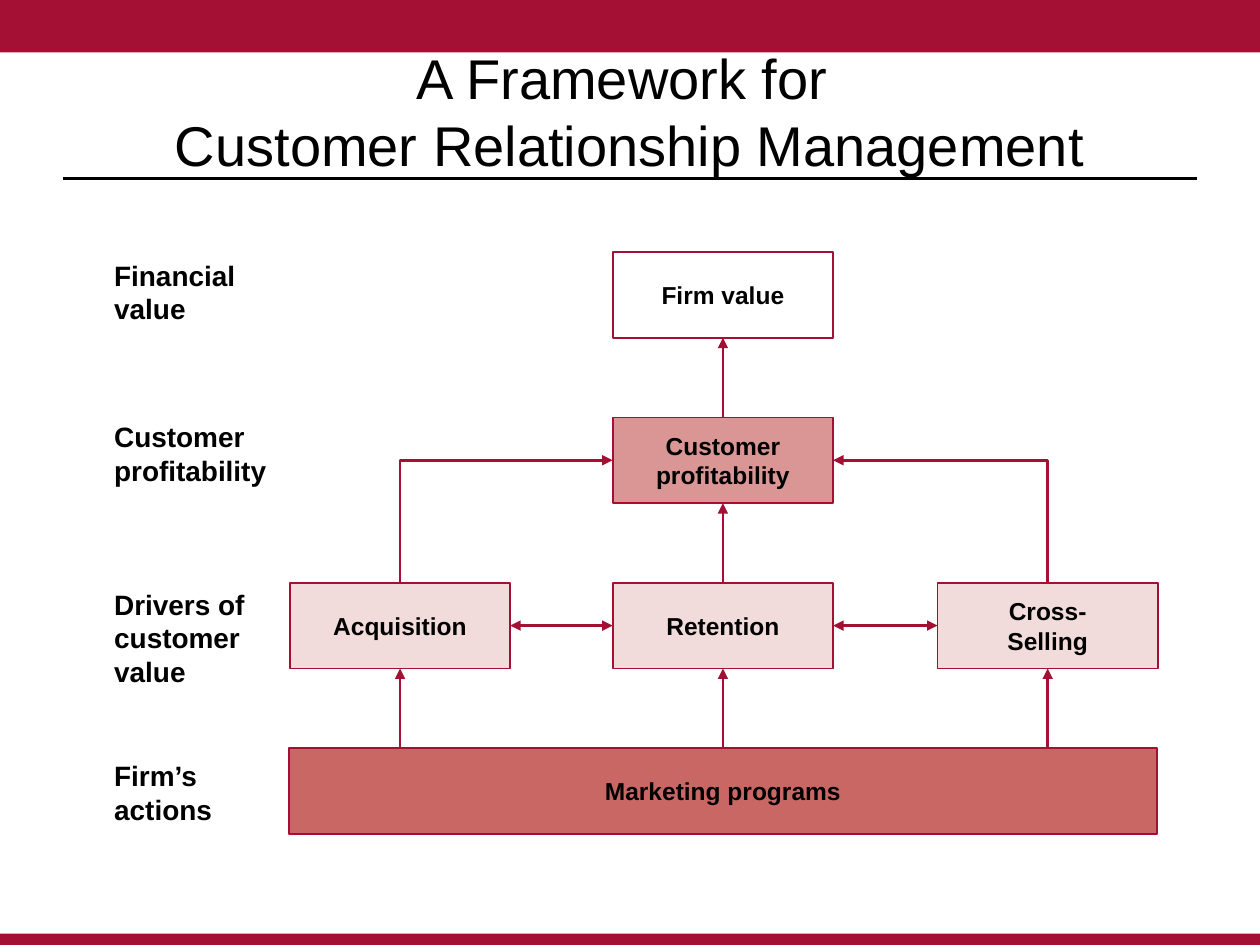
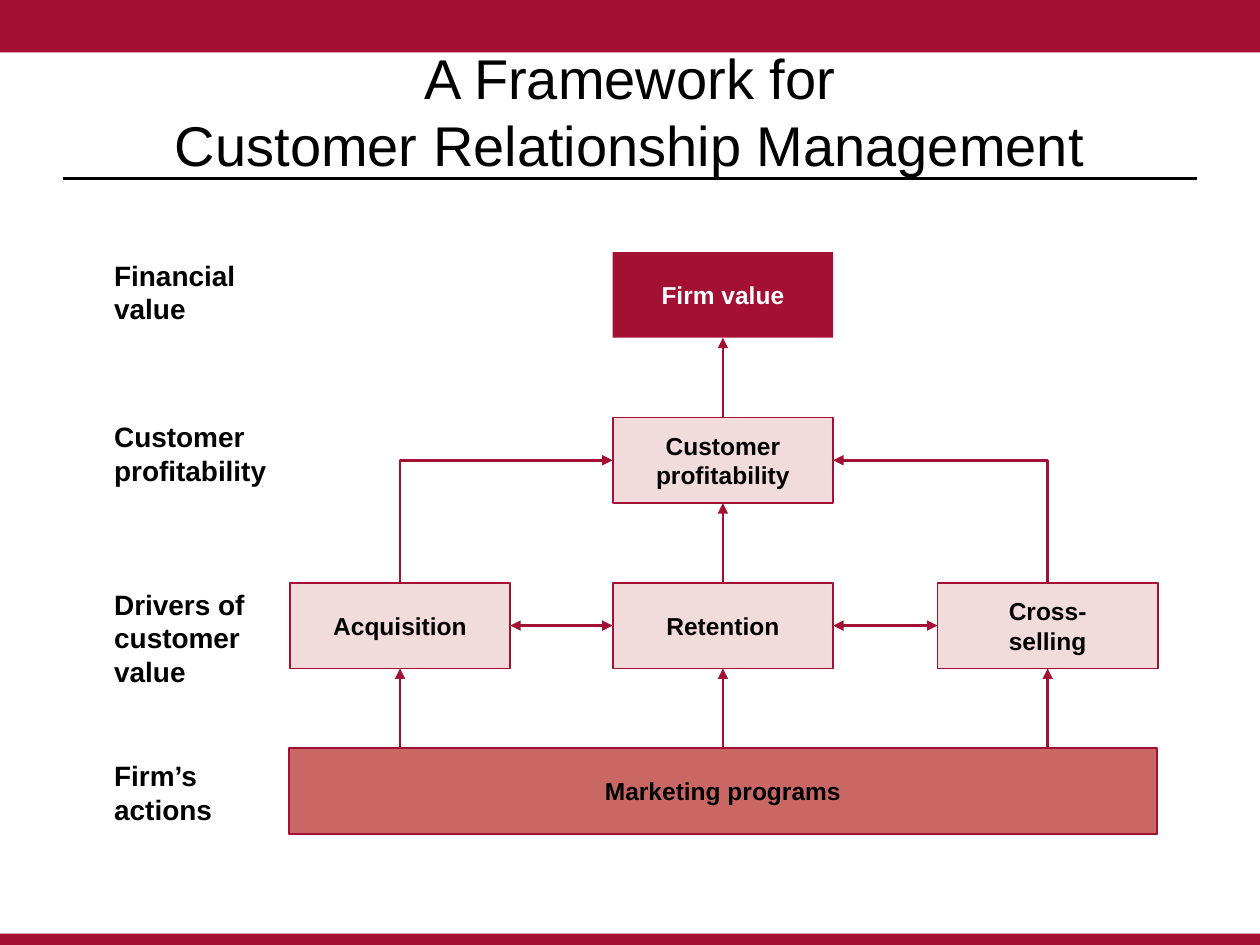
from lxml import etree
from pptx import Presentation
from pptx.dml.color import RGBColor
from pptx.enum import shapes, text
from pptx.oxml.ns import qn
from pptx.util import Pt

rgb = RGBColor.from_string
CRIMSON, ROSE, BLUSH, BRICK = "A41034", "D99694", "F2DCDB", "C96765"
BLACK, WHITE = "000000", "FFFFFF"
FONT = "Arial"

BOX_W, BOX_H = 126, 49
LEFT_X, MIDDLE_X, RIGHT_X = 165.6, 350.1, 535.7
VALUE_Y, PROFIT_Y, DRIVER_Y, ACTION_Y = [144 + 94.5 * row for row in range(4)]
TOP, LEFT, BOTTOM, RIGHT = 0, 1, 2, 3

LABELS = [
    ("Financial\nvalue", 144),
    ("Customer\nprofitability", 236.2),
    ("Drivers of\ncustomer value", 332),
    ("Firm’s actions", 430),
]
# Title, firm value fill, firm value text, profitability fill, cross-selling text
VERSIONS = [
    ("A Framework for \vCustomer Relationship Management", None, BLACK, ROSE, "Cross-\nSelling"),
    ("A Framework for\vCustomer Relationship Management", CRIMSON, WHITE, BLUSH, "Cross-\nselling"),
]


def write(shape, words, size, color=BLACK, bold=True,
          align=text.PP_ALIGN.CENTER, anchor=text.MSO_ANCHOR.MIDDLE):
    frame = shape.text_frame
    frame.word_wrap = True
    frame.vertical_anchor = anchor
    frame.text = words
    for paragraph in frame.paragraphs:
        paragraph.alignment = align
        paragraph.font.name = FONT
        paragraph.font.size = Pt(size)
        paragraph.font.bold = bold
        paragraph.font.color.rgb = rgb(color)


def draw_line(slide, start, end, color=CRIMSON, width=1.5, heads=("tailEnd",), elbow=False):
    """Each end is an (x, y) point or a (shape, side) joint."""
    kind = shapes.MSO_CONNECTOR.ELBOW if elbow else shapes.MSO_CONNECTOR.STRAIGHT
    line = slide.shapes.add_connector(kind, 0, 0, 0, 0)
    if hasattr(start[0], "shape_id"):
        line.begin_connect(*start)
    else:
        line.begin_x, line.begin_y = Pt(start[0]), Pt(start[1])
    if hasattr(end[0], "shape_id"):
        line.end_connect(*end)
    else:
        line.end_x, line.end_y = Pt(end[0]), Pt(end[1])
    line.line.color.rgb = rgb(color)
    line.line.width = Pt(width)
    properties = line.element.spPr
    if elbow:
        properties.find(qn("a:prstGeom")).set("prst", "bentConnector2")
    for head in heads:
        etree.SubElement(properties.find(qn("a:ln")), qn("a:" + head), type="triangle")
    etree.SubElement(properties, qn("a:effectLst"))


deck = Presentation()
deck.slide_width, deck.slide_height = Pt(720), Pt(540)

for title, value_fill, value_color, profit_fill, cross_selling in VERSIONS:
    slide = deck.slides.add_slide(deck.slide_layouts[6])

    # Bands and boxes: words, left, top, width, height, fill, outline, text colour
    blocks = []
    for words, x, y, w, h, fill, outline, color in [
        ("", 0, 0, 720, 30, CRIMSON, None, WHITE),
        ("", 0, 533.5, 720, 6.5, CRIMSON, None, WHITE),
        ("Firm value", MIDDLE_X, VALUE_Y, BOX_W, BOX_H, value_fill,
         None if value_fill else CRIMSON, value_color),
        ("Customer profitability", MIDDLE_X, PROFIT_Y, BOX_W, BOX_H, profit_fill, CRIMSON, BLACK),
        ("Acquisition", LEFT_X, DRIVER_Y, BOX_W, BOX_H, BLUSH, CRIMSON, BLACK),
        ("Retention", MIDDLE_X, DRIVER_Y, BOX_W, BOX_H, BLUSH, CRIMSON, BLACK),
        (cross_selling, RIGHT_X, DRIVER_Y, BOX_W, BOX_H, BLUSH, CRIMSON, BLACK),
        ("Marketing programs", 165, ACTION_Y, 496.2, BOX_H, BRICK, CRIMSON, BLACK),
    ]:
        block = slide.shapes.add_shape(shapes.MSO_SHAPE.RECTANGLE, Pt(x), Pt(y), Pt(w), Pt(h))
        block.shadow.inherit = False
        if fill:
            block.fill.solid()
            block.fill.fore_color.rgb = rgb(fill)
        else:
            block.fill.background()
        if outline:
            block.line.color.rgb = rgb(outline)
            block.line.width = Pt(1)
        else:
            block.line.fill.background()
        if words:
            write(block, words, 14, color)
        blocks.append(block)
    firm_value, profitability, acquisition, retention, cross, marketing = blocks[2:]

    draw_line(slide, (36, 102), (684, 102), BLACK, 1.25, heads=())
    heading = slide.shapes.add_textbox(Pt(36), Pt(18), Pt(648), Pt(90))
    write(heading, title, 32, bold=False)

    for words, y in LABELS:
        label = slide.shapes.add_textbox(Pt(58.2), Pt(y), Pt(105), Pt(46))
        write(label, words, 16, align=text.PP_ALIGN.LEFT, anchor=text.MSO_ANCHOR.TOP)

    # Upward arrows through the middle column and from the programs to the outer drivers
    for lower, upper in [(marketing, retention), (retention, profitability),
                         (profitability, firm_value)]:
        draw_line(slide, (lower, TOP), (upper, BOTTOM))
    for driver, x in [(acquisition, LEFT_X), (cross, RIGHT_X)]:
        draw_line(slide, (x + BOX_W / 2, ACTION_Y), (driver, BOTTOM))

    # Outer drivers turn into the sides of profitability
    for side, driver in [(LEFT, acquisition), (RIGHT, cross)]:
        draw_line(slide, (profitability, side), (driver, TOP), heads=("headEnd",), elbow=True)

    # Neighbouring drivers act on each other
    for first, second in [(acquisition, retention), (retention, cross)]:
        draw_line(slide, (first, RIGHT), (second, LEFT), heads=("headEnd", "tailEnd"))

deck.save("out.pptx")
